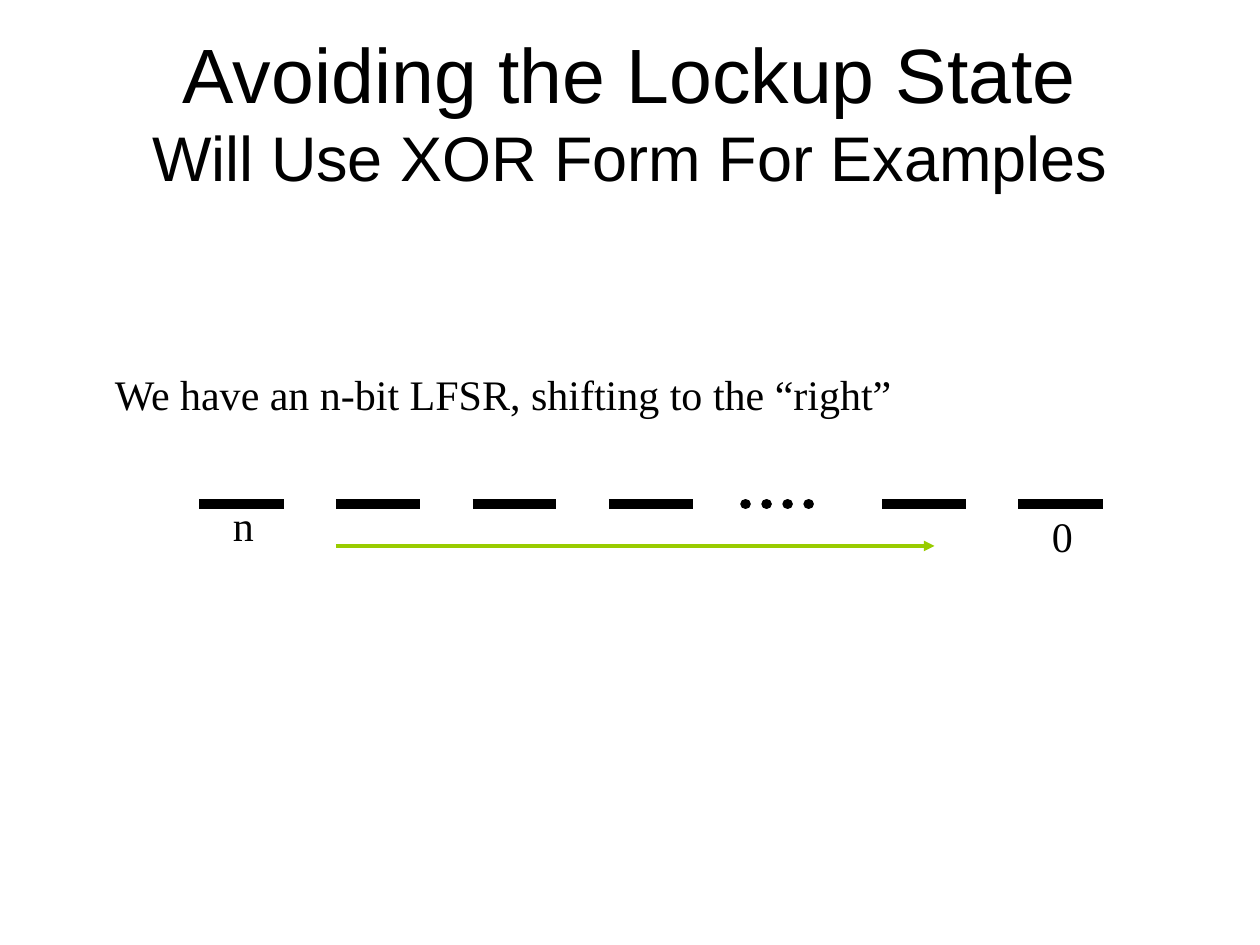
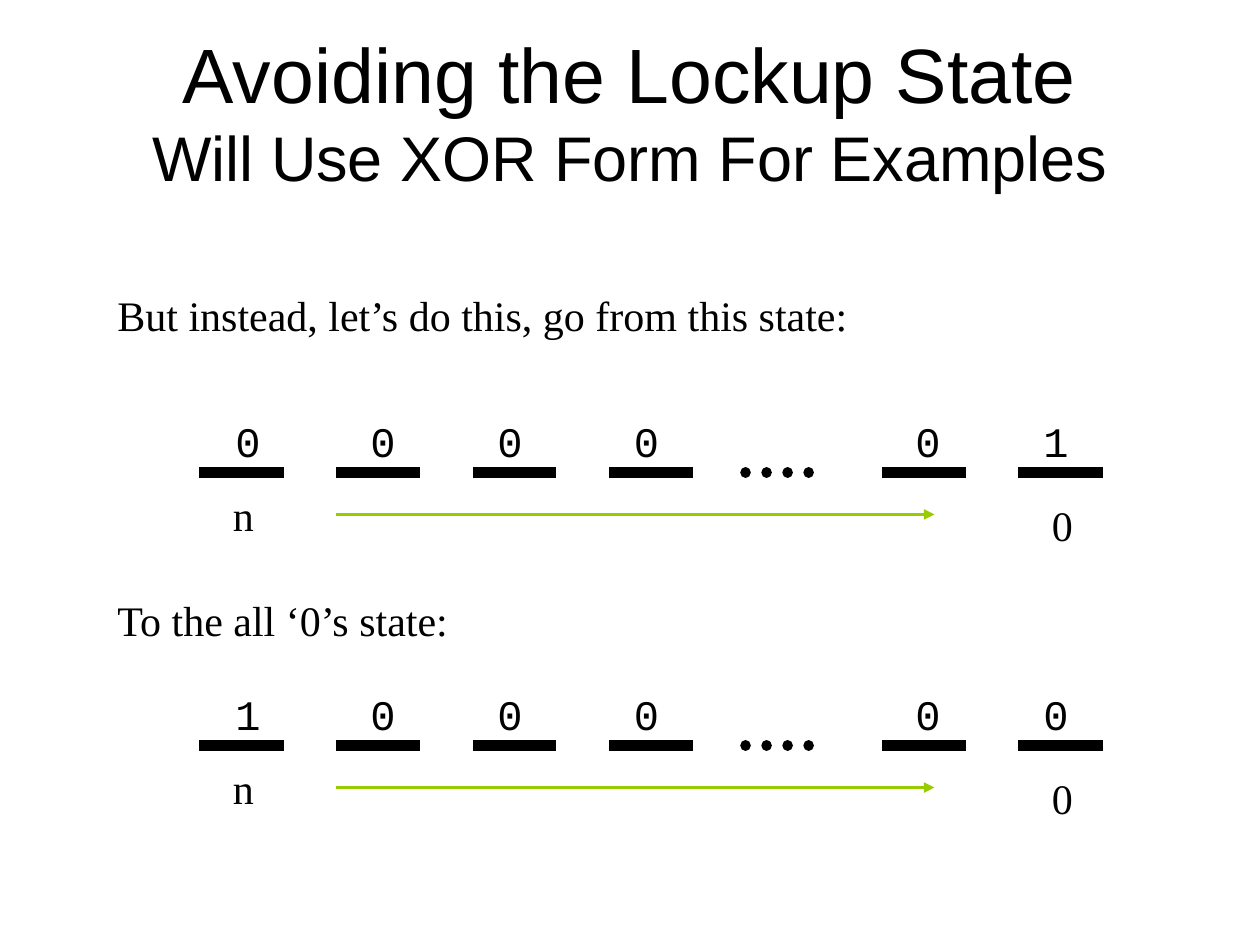
from lxml.etree import SubElement
from pptx import Presentation
from pptx.dml.color import RGBColor
from pptx.enum.dml import MSO_LINE
from pptx.enum.shapes import MSO_CONNECTOR as CONNECTOR
from pptx.enum.text import MSO_ANCHOR as ANCHOR, MSO_AUTO_SIZE as AUTO_SIZE, PP_ALIGN as ALIGN
from pptx.oxml.ns import qn
from pptx.util import Inches, Pt

COLORS = {"ink": "000000", "shift": "99CC00", "paper": "FFFFFF"}
SERIF, SANS, MONO = "Times New Roman", "Arial", "Courier New"

TITLE = [("Avoiding the Lockup State", 44), ("Will Use XOR Form For Examples", 36)]

# Rows are in grid units of a twelfth of an inch; a blank bit shows no digit.
SLIDES = [
    [dict(caption="We have an n-bit LFSR, shifting to the “right”",
          caption_at=(9.75, 34.5), caption_width=None,
          bits=" " * 7, register_row=48, label_row=48)],
    [dict(caption="But instead, let’s do this, go from this state:",
          caption_at=(10, 27), caption_width=104,
          bits="0000 01", register_row=45, label_row=47),
     dict(caption="To the all ‘0’s state:",
          caption_at=(10, 56), caption_width=104,
          bits="1000 00", register_row=71, label_row=73)],
]

UNIT = Inches(1) / 12
FIRST_SLOT, SLOT_STEP, SLOT_WIDTH = 19, 13, 8
DOTTED_SLOT = 4
DIGIT_INDENTS = [2.25, 2.1, 1.2, 1.2, 0, 2, 1.2]
SHIFT_FROM, SHIFT_TO = 32, 89
TEXT_HEIGHT = 6


def grid(units):
    return round(units * UNIT)


def style_run(run, size, font):
    run.font.size = Pt(size)
    run.font.name = font
    run.font.color.rgb = RGBColor.from_string(COLORS["ink"])


def add_title(slide):
    title = slide.shapes.title
    title.left, title.top, title.width, title.height = map(Inches, (0.75, 0.25, 8.5, 1.25))
    frame = title.text_frame
    frame.auto_size = AUTO_SIZE.NONE
    frame.vertical_anchor = ANCHOR.MIDDLE
    frame.text = "\v".join(line for line, _ in TITLE)
    heading = frame.paragraphs[0]
    heading.alignment = ALIGN.CENTER
    for run, (_, size) in zip(heading.runs, TITLE):
        style_run(run, size, SANS)


def add_text(slide, text, left, top, width, font=SERIF, wrap=False):
    box = slide.shapes.add_textbox(grid(left), grid(top), grid(width), grid(TEXT_HEIGHT))
    frame = box.text_frame
    frame.word_wrap = wrap
    frame.auto_size = AUTO_SIZE.SHAPE_TO_FIT_TEXT
    frame.text = text
    style_run(frame.paragraphs[0].runs[0], 24, font)


def add_line(slide, start, end, row, color, weight, dotted=False, arrow=False):
    line = slide.shapes.add_connector(
        CONNECTOR.STRAIGHT, grid(start), grid(row), grid(end), grid(row))
    line.line.color.rgb = RGBColor.from_string(COLORS[color])
    line.line.width = Pt(weight)
    properties = line.element.spPr
    outline = properties.get_or_add_ln()
    if dotted:
        line.line.dash_style = MSO_LINE.ROUND_DOT
        outline.set("cap", "rnd")
    if arrow:
        SubElement(outline, qn("a:tailEnd"), type="triangle")
    SubElement(properties, qn("a:effectLst"))


def add_register(slide, state):
    """Draw a caption, the bit slots with their digits, and the shift arrow."""
    width = state["caption_width"]
    add_text(slide, state["caption"], *state["caption_at"], width or 76.7, wrap=bool(width))

    row = state["register_row"]
    for index, (bit, indent) in enumerate(zip(state["bits"], DIGIT_INDENTS)):
        left = FIRST_SLOT + index * SLOT_STEP
        add_line(slide, left, left + SLOT_WIDTH, row, "ink", 6, dotted=index == DOTTED_SLOT)
        if bit.strip():
            add_text(slide, bit, left + indent, row - TEXT_HEIGHT, 4.8, MONO)

    add_line(slide, SHIFT_FROM, SHIFT_TO, row + 4, "shift", 2, arrow=True)
    add_text(slide, "0", 99, state["label_row"], 4.3)
    add_text(slide, "n", 21, state["label_row"] - 1, 4.3)


def main():
    deck = Presentation()
    deck.slide_width, deck.slide_height = Inches(10), Inches(7.5)
    background = deck.slide_master.background.fill
    background.solid()
    background.fore_color.rgb = RGBColor.from_string(COLORS["paper"])
    title_only = deck.slide_layouts.get_by_name("Title Only")
    for states in SLIDES:
        slide = deck.slides.add_slide(title_only)
        add_title(slide)
        for state in states:
            add_register(slide, state)
    deck.save("out.pptx")


if __name__ == "__main__":
    main()
